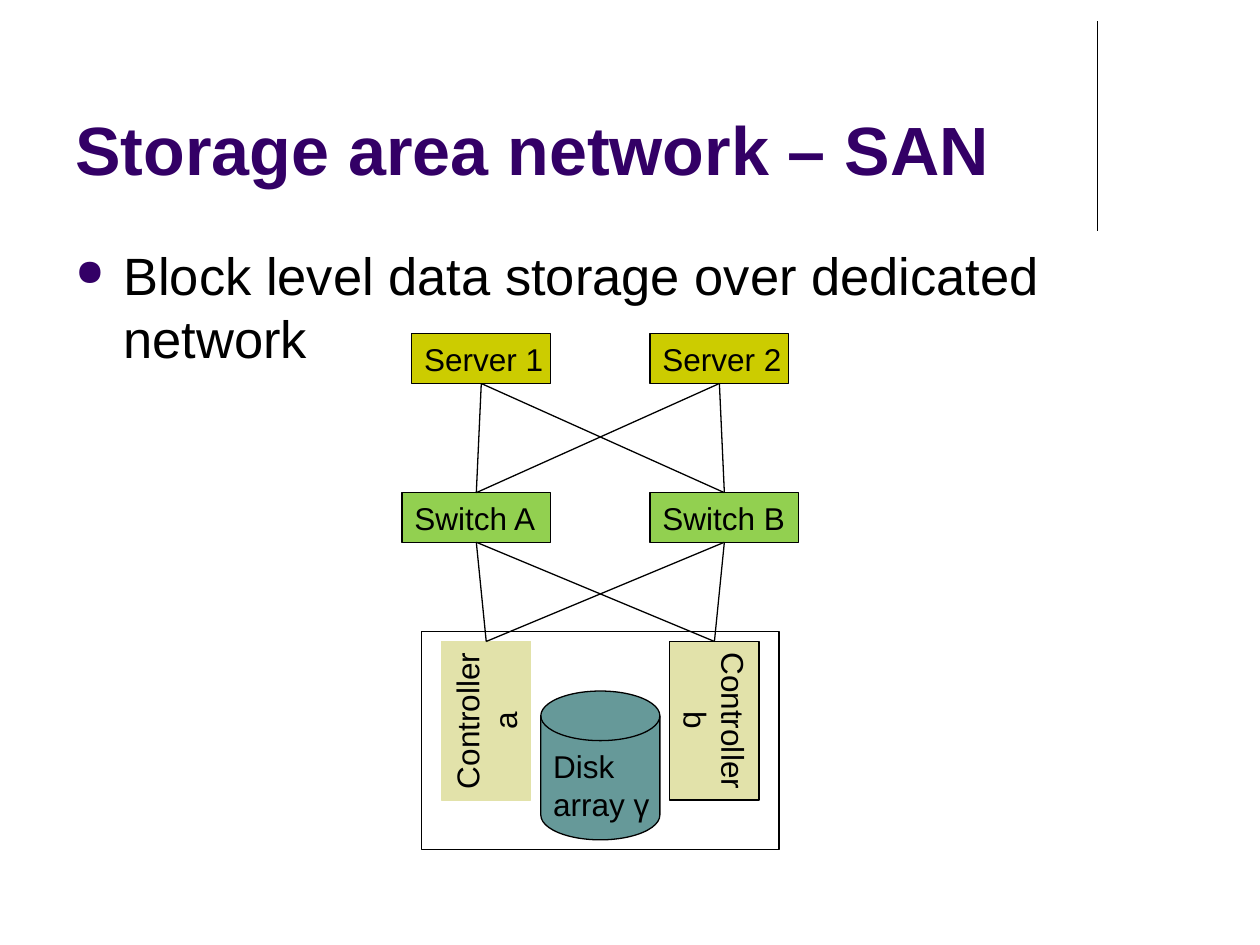
from dataclasses import dataclass
from itertools import product
from typing import Optional

from lxml import etree
from pptx import Presentation
from pptx.dml.color import RGBColor
from pptx.enum.shapes import MSO_CONNECTOR, MSO_SHAPE
from pptx.enum.text import MSO_ANCHOR, PP_ALIGN
from pptx.oxml.ns import qn
from pptx.util import Cm, Inches, Pt

RECTANGLE = MSO_SHAPE.RECTANGLE
DISK = MSO_SHAPE.FLOWCHART_MAGNETIC_DISK
STRAIGHT = MSO_CONNECTOR.STRAIGHT
TOP, BOTTOM = MSO_ANCHOR.TOP, MSO_ANCHOR.BOTTOM
LEFT, CENTER = PP_ALIGN.LEFT, PP_ALIGN.CENTER

BLACK = RGBColor(0x00, 0x00, 0x00)
PURPLE = RGBColor(0x33, 0x00, 0x66)
OLIVE = RGBColor(0xCC, 0xCC, 0x00)
GREEN = RGBColor(0x92, 0xD0, 0x50)
SAND = RGBColor(0xE2, 0xE2, 0xAA)
TEAL = RGBColor(0x66, 0x99, 0x99)

FONT = "Arial"
LINE_WIDTH = Pt(0.75)
CELL = Cm(0.2)
GRID_LEFT, GRID_TOP = Inches(3.19), Inches(2.65)
TOP_SITE, BOTTOM_SITE = 0, 2


@dataclass(frozen=True)
class Node:
    column: int
    row: int
    columns: int
    rows: int
    text: str = ""
    fill: Optional[RGBColor] = None
    line: RGBColor = BLACK
    preset: int = RECTANGLE
    direction: str = "horz"


SERVERS = [Node(column, 0, 14, 5, f"Server {number}", OLIVE)
           for column, number in ((1, 1), (25, 2))]
SWITCHES = [Node(column, 16, 15, 5, f"Switch {letter}", GREEN)
            for column, letter in ((0, "A"), (25, "B"))]
DISK_ARRAY = Node(14, 36, 12, 15, "Disk\varray γ", TEAL, preset=DISK)
ENCLOSURE = Node(2, 30, 36, 22)
CONTROLLERS = [
    Node(4, 31, 9, 16, "Controller\va", SAND, SAND, direction="vert270"),
    Node(27, 31, 9, 16, "Controller\vb", SAND, direction="vert"),
]


def style_paragraph(paragraph, size: float, color: RGBColor, bold: bool = False) -> None:
    font = paragraph.font
    font.name, font.size, font.bold = FONT, Pt(size), bold
    font.color.rgb = color


def add_text(slide, left: float, top: float, width: float, height: float,
             text: str, anchor: int):
    shape = slide.shapes.add_textbox(
        Inches(left), Inches(top), Inches(width), Inches(height))
    frame = shape.text_frame
    frame.word_wrap = True
    frame.vertical_anchor = anchor
    paragraph = frame.paragraphs[0]
    paragraph.text = text
    return paragraph


def add_bullet(paragraph, color: RGBColor) -> None:
    properties = paragraph._p.get_or_add_pPr()
    properties.set("marL", str(Inches(0.38)))
    properties.set("indent", str(-Inches(0.38)))
    bullet_color = etree.SubElement(properties, qn("a:buClr"))
    etree.SubElement(bullet_color, qn("a:srgbClr"), val=str(color))
    etree.SubElement(properties, qn("a:buSzPct"), val="70000")
    etree.SubElement(properties, qn("a:buChar"), char="●")


def add_node(shapes, node: Node):
    shape = shapes.add_shape(
        node.preset, GRID_LEFT + node.column * CELL, GRID_TOP + node.row * CELL,
        node.columns * CELL, node.rows * CELL)
    shape.shadow.inherit = False
    shape.line.color.rgb = node.line
    shape.line.width = LINE_WIDTH
    if node.fill is None:
        shape.fill.background()
    else:
        shape.fill.solid()
        shape.fill.fore_color.rgb = node.fill
    if node.text:
        frame = shape.text_frame
        frame.word_wrap = False
        frame.vertical_anchor = TOP
        frame._txBody.bodyPr.set("vert", node.direction)
        paragraph = frame.paragraphs[0]
        paragraph.text = node.text
        paragraph.alignment = LEFT if node.direction == "horz" else CENTER
        style_paragraph(paragraph, 18, BLACK)
    return shape


def add_line(slide, left: float = 0, top: float = 0, right: float = 0, bottom: float = 0):
    connector = slide.shapes.add_connector(
        STRAIGHT, Inches(left), Inches(top), Inches(right), Inches(bottom))
    connector.line.color.rgb = BLACK
    connector.line.width = LINE_WIDTH
    etree.SubElement(connector._element.spPr, qn("a:effectLst"))
    return connector


def link_rows(slide, upper: list, lower: list) -> None:
    for source, target in product(upper, lower):
        connector = add_line(slide)
        connector.begin_connect(source, BOTTOM_SITE)
        connector.end_connect(target, TOP_SITE)


def main() -> None:
    presentation = Presentation()
    presentation.slide_width, presentation.slide_height = Inches(10), Inches(7.5)
    slide = presentation.slides.add_slide(presentation.slide_layouts[6])

    add_line(slide, 8.71, 0.17, 8.71, 1.83)
    title = add_text(slide, 0.5, 0.13, 8.25, 1.42, "Storage area network – SAN", BOTTOM)
    style_paragraph(title, 39, PURPLE, bold=True)
    body = add_text(slide, 0.5, 1.88, 9, 4.82,
                    "Block level data storage over dedicated network", TOP)
    add_bullet(body, PURPLE)
    style_paragraph(body, 30, BLACK)

    servers = [add_node(slide.shapes, node) for node in SERVERS]
    switches = [add_node(slide.shapes, node) for node in SWITCHES]
    storage = slide.shapes.add_group_shape()
    add_node(storage.shapes, DISK_ARRAY)
    add_node(storage.shapes, ENCLOSURE)
    controllers = [add_node(storage.shapes, node) for node in CONTROLLERS]
    link_rows(slide, servers, switches)
    link_rows(slide, switches, controllers)

    presentation.save("out.pptx")


if __name__ == "__main__":
    main()
